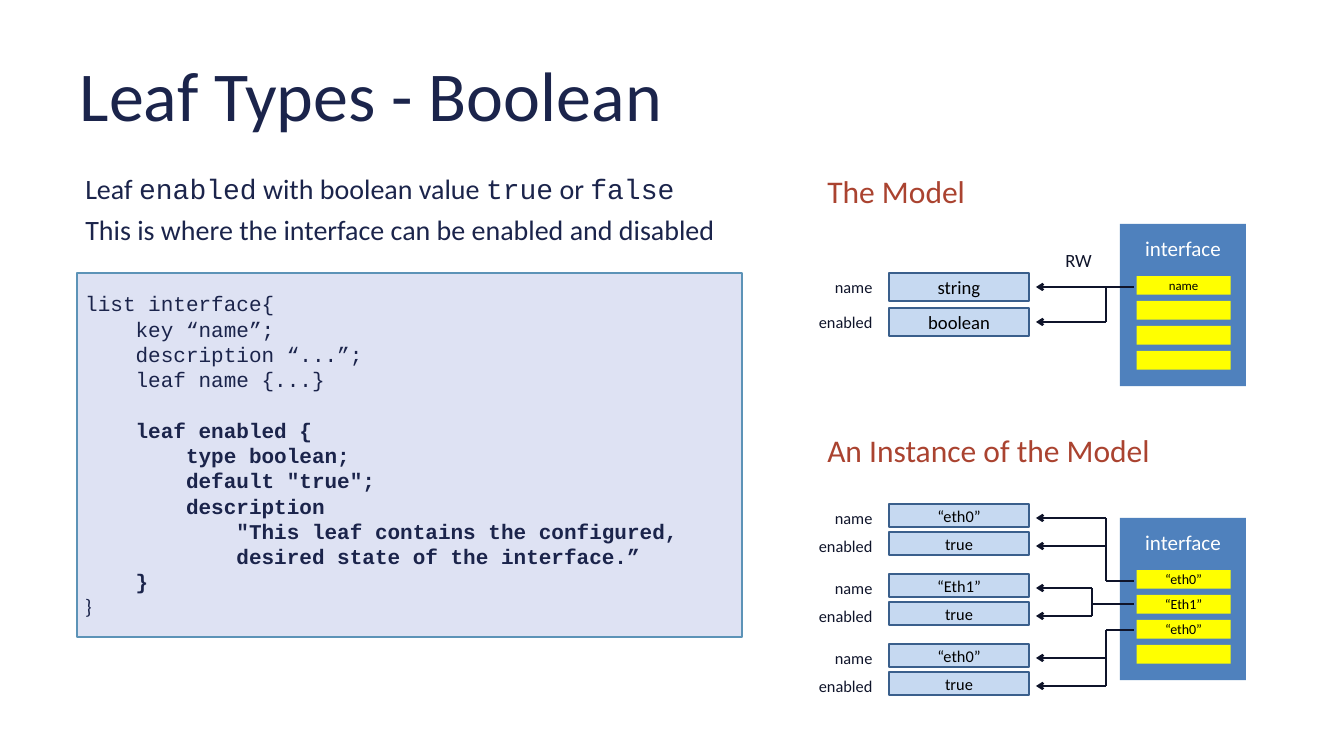
from lxml import etree
from pptx import Presentation
from pptx.dml.color import RGBColor
from pptx.enum import shapes, text
from pptx.oxml.ns import qn
from pptx.util import Pt

COLORS = {
    "navy": "1B244B", "ink": "0F142A", "black": "000000", "white": "FFFFFF",
    "red": "AA4330", "code_fill": "DEE2F3", "code_line": "5C93B7",
    "value_fill": "C6D9F1", "value_line": "3A5F8C",
    "card": "4F81BD", "slot": "FFFF00",
}
SANS, MONO = "Calibri", "Courier New"
LEFT, CENTER, RIGHT = text.PP_ALIGN.LEFT, text.PP_ALIGN.CENTER, text.PP_ALIGN.RIGHT

CODE_INTRO = [
    "list interface{",
    "    key “name”;",
    "    description “...”;",
    "    leaf name {...}",
]
CODE_ENABLED = [
    "    leaf enabled {",
    "        type boolean;",
    "        default \"true\";",
    "        description",
    "            \"This leaf contains the configured,",
    "            desired state of the interface.”",
    "    }",
]

LABEL_WIDTHS = {"name": 47, "enabled": 61}
LABEL_RIGHT = 755
VALUE_LEFT, VALUE_WIDTH = 762, 120
ARROW_TIP, SLOT_EDGE = 888, 972
ROW_MIDDLE = 12


class Builder:
    """Holds the slide and draws each kind of element in the slide's style."""

    def __init__(self, slide):
        self.slide = slide

    def color(self, name):
        return RGBColor.from_string(COLORS[name])

    def fill_paragraph(self, paragraph, words, size, color, align=LEFT,
                       font=SANS, bold=False):
        """Fill a paragraph; words is a string or a list of (words, font) runs."""
        paragraph.alignment = align
        paragraph.font.size = Pt(size)
        paragraph.font.name = font
        paragraph.font.bold = bold
        paragraph.font.color.rgb = self.color(color)
        runs = [(words, font)] if isinstance(words, str) else words
        for run_words, run_font in runs:
            run = paragraph.add_run()
            run.text = run_words
            if run_font != font:
                run.font.name = run_font

    def next_paragraph(self, frame):
        first = frame.paragraphs[0]
        return frame.add_paragraph() if first.runs else first

    def textbox(self, left, top, width, height, wrap=True, parent=None):
        box = (parent or self.slide).shapes.add_textbox(
            Pt(left), Pt(top), Pt(width), Pt(height))
        box.text_frame.word_wrap = wrap
        box.text_frame.auto_size = text.MSO_AUTO_SIZE.SHAPE_TO_FIT_TEXT
        return box.text_frame

    def label(self, left, top, width, height, words, size, color,
              align=LEFT, parent=None):
        frame = self.textbox(left, top, width, height, False, parent)
        self.fill_paragraph(frame.paragraphs[0], words, size, color, align)

    def box(self, left, top, width, height, fill, line=None, weight=2,
            words=None, size=14, parent=None):
        shape = (parent or self.slide).shapes.add_shape(
            shapes.MSO_SHAPE.RECTANGLE, Pt(left), Pt(top), Pt(width), Pt(height))
        shape.shadow.inherit = False
        shape.fill.solid()
        shape.fill.fore_color.rgb = self.color(fill)
        if line:
            shape.line.color.rgb = self.color(line)
            shape.line.width = Pt(weight)
        else:
            shape.line.fill.background()
        frame = shape.text_frame
        frame.word_wrap = True
        frame.vertical_anchor = text.MSO_ANCHOR.MIDDLE
        if words:
            self.fill_paragraph(frame.paragraphs[0], words, size, "black", CENTER)
        return shape

    def line(self, x1, y1, x2, y2, arrow=False):
        connector = self.slide.shapes.add_connector(
            shapes.MSO_CONNECTOR.STRAIGHT, Pt(x1), Pt(y1), Pt(x2), Pt(y2))
        connector.line.color.rgb = self.color("ink")
        connector.line.width = Pt(2)
        properties = connector._element.spPr
        if arrow:
            outline = properties.find(qn("a:ln"))
            etree.SubElement(outline, qn("a:tailEnd"), type="arrow")
        etree.SubElement(properties, qn("a:effectLst"))

    def card(self, top, slots, size):
        """Interface card: a heading over evenly spaced slots."""
        group = self.slide.shapes.add_group_shape()
        self.box(960, top, 108, 139, "card", parent=group)
        self.label(973.7, top + 6.5, 80.6, 29, "interface", 18, "white", CENTER, group)
        for index, words in enumerate(slots):
            self.box(974.2, top + 44.6 + 21.4 * index, 80.6, 16, "slot",
                     words=words, size=size, parent=group)

    def entry(self, rows, values, height, size, bus, slot_y):
        """Labelled name and enabled rows, wired to a slot of the card."""
        for name, value, top in zip(LABEL_WIDTHS, values, rows):
            width = LABEL_WIDTHS[name]
            self.label(LABEL_RIGHT - width, top, width, 24.5, name, 14, "ink", RIGHT)
            self.box(VALUE_LEFT, top, VALUE_WIDTH, height, "value_fill",
                     "value_line", words=value, size=size)
        ends = [top + ROW_MIDDLE for top in rows]
        for y in ends:
            self.line(SLOT_EDGE if y == slot_y else bus, y, ARROW_TIP, y, arrow=True)
        if slot_y not in ends:
            self.line(bus, slot_y, SLOT_EDGE, slot_y)
        self.line(bus, min(ends + [slot_y]), bus, max(ends + [slot_y]))


def main():
    presentation = Presentation()
    presentation.slide_width, presentation.slide_height = Pt(1152), Pt(648)
    slide = presentation.slides.add_slide(presentation.slide_layouts[6])
    builder = Builder(slide)

    # Title
    frame = builder.textbox(57.6, 26, 1036.8, 108)
    frame.auto_size = text.MSO_AUTO_SIZE.NONE
    frame.vertical_anchor = text.MSO_ANCHOR.MIDDLE
    frame.margin_left = frame.margin_right = Pt(10.8)
    frame.margin_top = frame.margin_bottom = Pt(5.8)
    builder.fill_paragraph(frame.paragraphs[0], "Leaf Types - Boolean", 60, "navy")

    # Explanation
    frame = builder.textbox(66, 138, 558, 76)
    for words in (
        [("Leaf ", SANS), ("enabled", MONO), (" with boolean value ", SANS),
         ("true", MONO), (" or ", SANS), ("false", MONO)],
        "This is where the interface can be enabled and disabled",
    ):
        paragraph = builder.next_paragraph(frame)
        paragraph.line_spacing = 1.2
        builder.fill_paragraph(paragraph, words, 24, "navy")

    # Code listing
    frame = builder.box(66, 234, 570, 312, "code_fill", "code_line", 2.25).text_frame
    listing = [(words, MONO, False) for words in CODE_INTRO]
    listing += [(words, MONO, True) for words in CODE_ENABLED]
    listing.append(("}", SANS, False))
    for words, font, bold in listing:
        paragraph = builder.next_paragraph(frame)
        if words == CODE_ENABLED[0]:
            paragraph.space_before = Pt(22)
        builder.fill_paragraph(paragraph, words, 18, "navy", font=font, bold=bold)

    # Model
    builder.label(702, 144, 134, 40, "The Model", 27, "red")
    builder.card(192, ["name", None, None, None], 11)
    builder.label(906, 210, 37.5, 26.5, "RW", 16, "ink")
    builder.entry((234, 264), ("string", "boolean"), 24, 16, 948, 246)

    # Instance of the model
    builder.label(702, 366, 294.5, 40, "An Instance of the Model", 27, "red")
    instances = [("“eth0”", 948, 498), ("“Eth1”", 936, 518), ("“eth0”", 948, 540)]
    builder.card(444, [name for name, _, _ in instances] + [None], 12)
    for index, (name, bus, slot_y) in enumerate(instances):
        top = 432 + 60 * index
        builder.entry((top, top + 24), (name, "true"), 20, 14, bus, slot_y)

    presentation.save("out.pptx")


if __name__ == "__main__":
    main()
